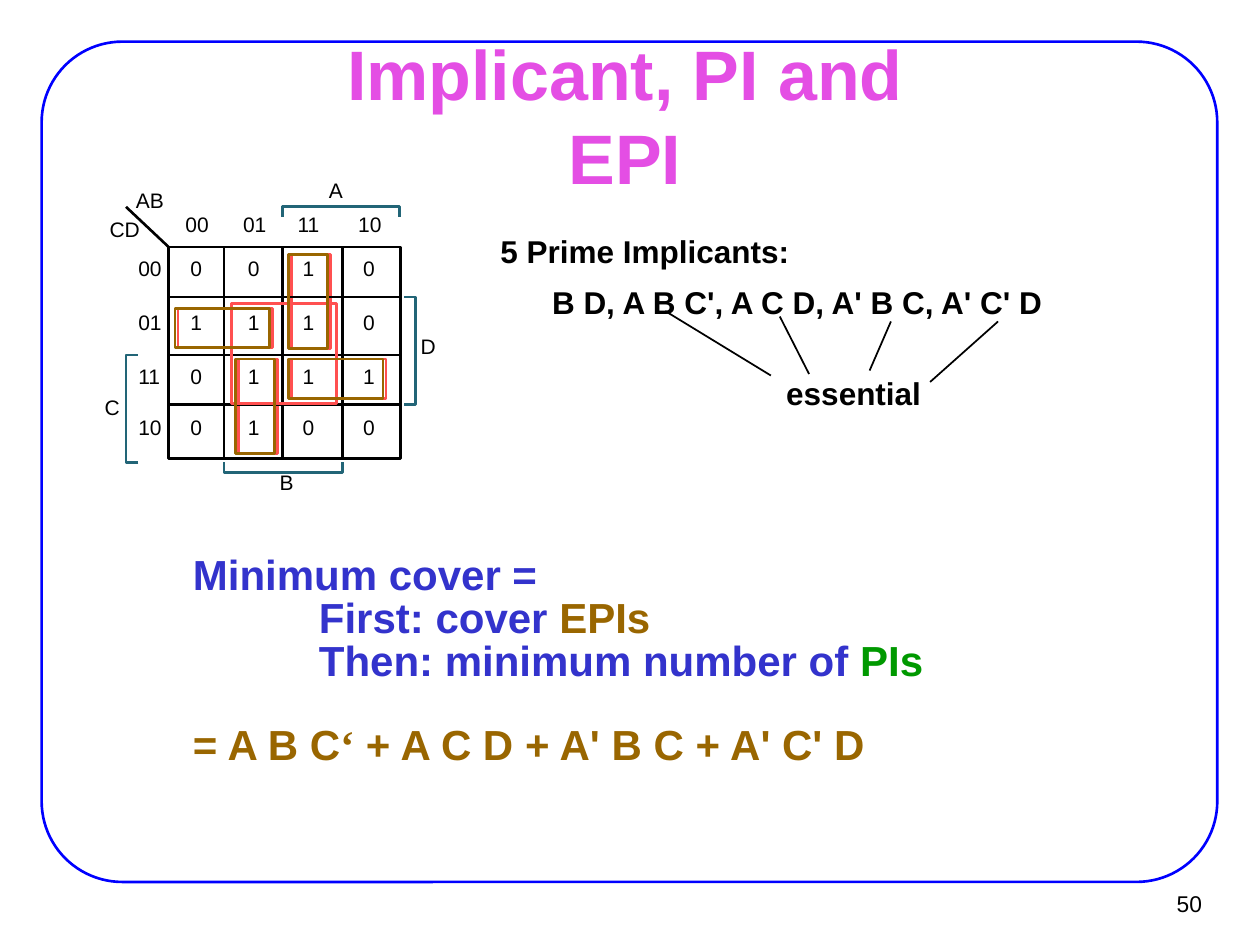
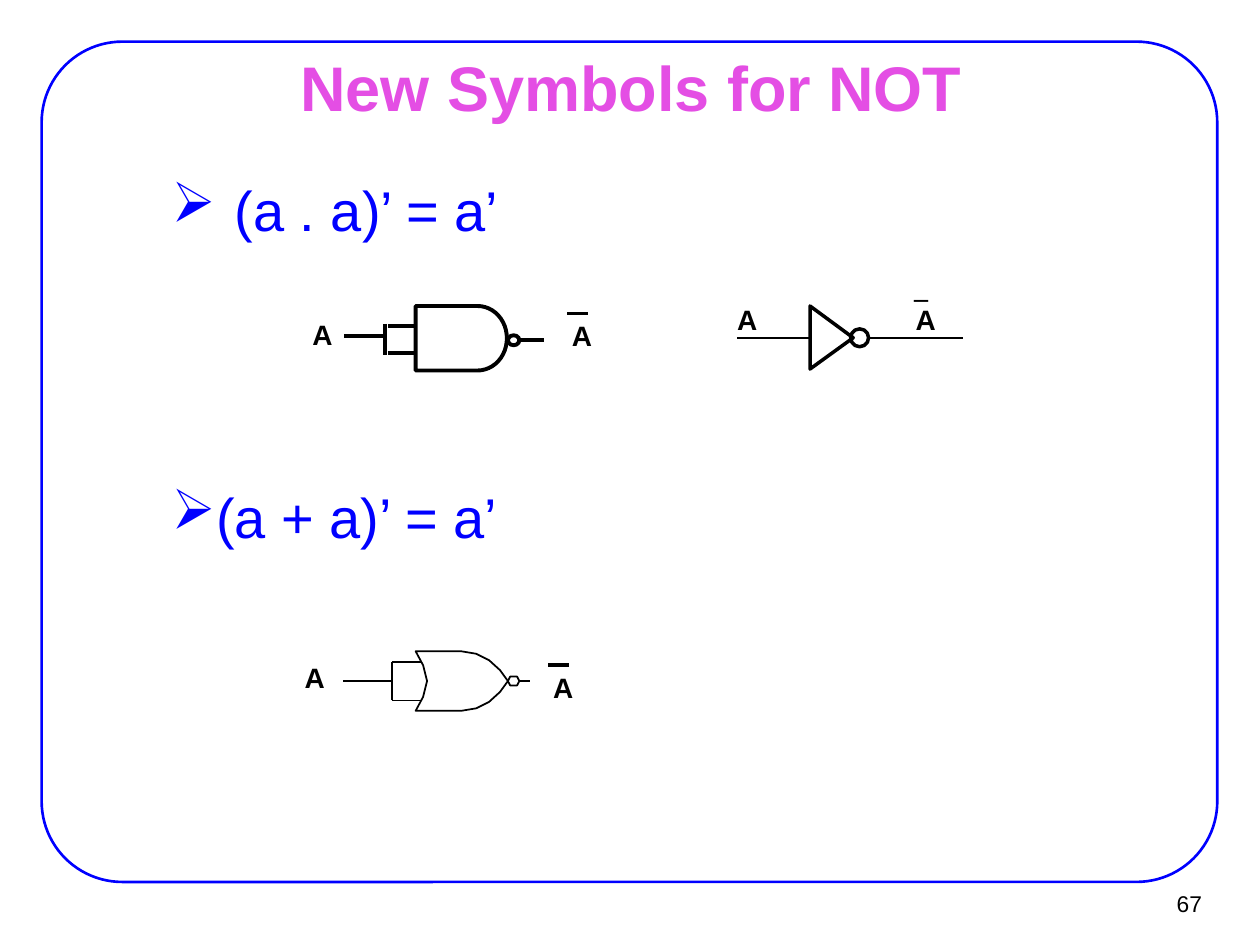
from math import cos, pi, sin

from lxml.etree import SubElement
from pptx import Presentation
from pptx.dml.color import RGBColor
from pptx.enum.shapes import MSO_CONNECTOR, MSO_SHAPE
from pptx.enum.text import MSO_ANCHOR, MSO_AUTO_SIZE, PP_ALIGN
from pptx.oxml.ns import qn
from pptx.util import Cm, Pt

COLORS = {
    "black": "000000", "frame": "0000FF", "title": "E44EE4", "statement": "0000FF",
    "cover": "3333CC", "essential": "996600", "prime": "009900",
    "implicant": "FF5050", "bracket": "226577",
}
FONT = "Arial"
QUOTE_FONT = "Times New Roman"
TIGHT = (0.18, 0.08)
ROOMY = (0.28, 0.15)
NONE = (0, 0)
GATE_INSET = (0.25, 0.13)
GRAY_CODE = ("00", "01", "11", "10")


def rgb(name):
    """Return a palette colour."""
    return RGBColor.from_string(COLORS[name])


def style_font(font, size, color, bold=False, face=FONT):
    """Set the look of a paragraph's or run's font."""
    font.name, font.size, font.bold = face, Pt(size), bold
    font.color.rgb = rgb(color)


def set_frame(frame, inset, anchor, wrap):
    """Set margins, anchor and wrapping of a text frame."""
    frame.margin_left = frame.margin_right = Cm(inset[0])
    frame.margin_top = frame.margin_bottom = Cm(inset[1])
    frame.vertical_anchor, frame.word_wrap = anchor, wrap
    frame.auto_size = MSO_AUTO_SIZE.NONE


def place_text(slide, text, box, size, color="black", bold=False, face=FONT,
               inset=TIGHT, wrap=False, align=PP_ALIGN.LEFT, anchor=MSO_ANCHOR.TOP):
    """Add a one-paragraph text box and return its paragraph."""
    frame = slide.shapes.add_textbox(*map(Cm, box)).text_frame
    set_frame(frame, inset, anchor, wrap)
    paragraph = frame.paragraphs[0]
    paragraph.text, paragraph.alignment = text, align
    style_font(paragraph.font, size, color, bold, face)
    return paragraph


def place_outline(shape, color, weight):
    """Give a shape an outline without fill or shadow."""
    shape.shadow.inherit = False
    shape.fill.background()
    shape.line.color.rgb = rgb(color)
    shape.line.width = Pt(weight)
    return shape


def place_shape(slide, kind, box, color="black", weight=1.5):
    """Add an unfilled preset shape."""
    return place_outline(slide.shapes.add_shape(kind, *map(Cm, box)), color, weight)


def place_path(slide, points, color="black", weight=1.5, close=True):
    """Add an unfilled outline through the points."""
    corners = [(Cm(x), Cm(y)) for x, y in points]
    builder = slide.shapes.build_freeform(*corners[0])
    builder.add_line_segments(corners[1:], close=close)
    return place_outline(builder.convert_to_shape(), color, weight)


def place_line(slide, x1, y1, x2, y2, weight=1.5):
    """Add a straight black line."""
    line = slide.shapes.add_connector(MSO_CONNECTOR.STRAIGHT, *map(Cm, (x1, y1, x2, y2)))
    line.line.color.rgb = rgb("black")
    line.line.width = Pt(weight)
    SubElement(line.element.spPr, qn("a:effectLst"))


def frame_layout(layout, slide):
    """Put the rounded border on the layout that all slides share."""
    border = place_shape(slide, MSO_SHAPE.ROUNDED_RECTANGLE,
                         (0.84, 0.84, 23.7, 16.94), "frame")
    border.adjustments[0] = 0.096
    layout.shapes.element.insert(2, border.element)


def start_slide(deck, title, box, size, number, inset, anchor, wrap):
    """Add a slide with its title and page number."""
    slide = deck.slides.add_slide(deck.slide_layouts[5])
    heading = slide.shapes.title
    heading.left, heading.top, heading.width, heading.height = map(Cm, box)
    set_frame(heading.text_frame, inset, anchor, wrap)
    paragraph = heading.text_frame.paragraphs[0]
    paragraph.text, paragraph.alignment = title, PP_ALIGN.CENTER
    style_font(paragraph.font, size, "title", bold=True)
    place_text(slide, number, (22.91, 17.75, 1.55, 0.94), 13, inset=(0.23, 0.1),
               wrap=True, align=PP_ALIGN.RIGHT, anchor=MSO_ANCHOR.MIDDLE)
    return slide


def map_label(slide, text, x, y):
    """Add a small label of the Karnaugh map."""
    place_text(slide, text, (x, y, 0.3 + 0.2 * len(text), 0.51), 12,
               inset=NONE, wrap=True)


def draw_karnaugh_map(slide):
    """Draw the map with its values, variable brackets and loops."""
    essentials = [(3.53, 6.22, 1.9, 0.79), (5.82, 7.24, 1.9, 0.79),
                  (4.75, 7.24, 0.79, 1.9), (5.82, 5.13, 0.79, 1.9)]
    for x, y, width, height in essentials:
        place_shape(slide, MSO_SHAPE.RECTANGLE, (x + 0.06, y, width, height), "implicant")

    left, top, right, bottom = 3.4, 4.98, 8.08, 9.25
    place_shape(slide, MSO_SHAPE.RECTANGLE, (left, top, right - left, bottom - top))
    for y in (5.99, 7.16, 8.15):
        place_line(slide, left, y, right, y)
    for x in (4.52, 5.69, 6.91):
        place_line(slide, x, top, x, bottom)
    place_line(slide, left, top, 2.54, 4.17)

    columns = (3.84, 5, 6.1, 7.32)
    rows = (5.16, 6.25, 7.32, 8.36)
    for code, x, y in zip(GRAY_CODE, columns, rows):
        map_label(slide, code, x - 0.1, 4.27)
        map_label(slide, code, 2.79, y)
    for y, values in zip(rows, ("0010", "1110", "0111", "0100")):
        for x, value in zip(columns, values):
            map_label(slide, value, x, y)

    brackets = [
        [(5.69, 4.37), (5.69, 4.17), (8.05, 4.17), (8.05, 4.37)],
        [(2.79, 9.32), (2.54, 9.32), (2.54, 7.16), (2.79, 7.16)],
        [(6.91, 9.32), (6.91, 9.53), (4.52, 9.53), (4.52, 9.32)],
        [(8.15, 5.99), (8.38, 5.99), (8.38, 8.15), (8.15, 8.15)],
    ]
    for bracket in brackets:
        place_path(slide, bracket, "bracket", close=False)
    for variable, x, y in (("AB", 2.74, 3.78), ("CD", 2.21, 4.37), ("A", 6.63, 3.58),
                           ("B", 5.64, 9.47), ("C", 2.11, 7.95), ("D", 8.48, 6.73)):
        map_label(slide, variable, x, y)

    place_shape(slide, MSO_SHAPE.RECTANGLE, (4.67, 6.12, 2.11, 2.01), "implicant")
    for loop in essentials:
        place_shape(slide, MSO_SHAPE.RECTANGLE, loop, "essential")


def list_prime_implicants(slide):
    """Name the prime implicants and point to the essential ones."""
    for text, box in (
            ("5 Prime Implicants:", (9.91, 4.72, 6.17, 0.79)),
            ("B D, A B C', A C D, A' B C, A' C' D", (10.95, 5.74, 10.36, 0.79)),
            ("essential", (15.67, 7.57, 3.07, 0.79))):
        place_text(slide, text, box, 18, bold=True).line_spacing = 0.85
    for pointer in ((13.41, 6.27, 15.54, 7.57), (15.72, 6.38, 16.31, 7.54),
                    (17.96, 6.48, 17.53, 7.47), (20.12, 6.48, 18.75, 7.7)):
        place_line(slide, *pointer, weight=1)


def explain_minimum_cover(slide):
    """Write the steps to the minimum cover and its result."""
    frame = slide.shapes.add_textbox(*map(Cm, (3.71, 11.13, 19.58, 4.47))).text_frame
    set_frame(frame, TIGHT, MSO_ANCHOR.TOP, True)
    steps = [
        (0, 0, [("Minimum cover =", "cover", FONT)]),
        (2.54, 0, [("First: cover ", "cover", FONT), ("EPIs", "essential", FONT)]),
        (2.54, 0, [("Then: minimum number of ", "cover", FONT), ("PIs", "prime", FONT)]),
        (0, 24, [("= A B C", "essential", FONT), ("‘", "essential", QUOTE_FONT),
                 (" + A C D + A' B C + A' C' D", "essential", FONT)]),
    ]
    for index, (indent, gap, parts) in enumerate(steps):
        paragraph = frame.add_paragraph() if index else frame.paragraphs[0]
        paragraph.line_spacing, paragraph.space_before = 0.85, Pt(gap)
        paragraph._p.get_or_add_pPr().set("marL", str(Cm(indent)))
        for text, color, face in parts:
            run = paragraph.add_run()
            run.text = text
            style_font(run.font, 24, color, True, face)


def state_identity(slide, text, top, indent, hanging):
    """Add a bulleted Boolean identity."""
    paragraph = place_text(slide, text, (1.91, top, 21.59, 2.54), 32, "statement",
                           inset=ROOMY, wrap=True)
    properties = paragraph._p.get_or_add_pPr()
    properties.set("marL", str(Cm(indent)))
    properties.set("indent", str(-Cm(hanging)))
    bullet = SubElement(properties, qn("a:buChar"))
    bullet.set("char", "➢")
    spacing = properties.get_or_add_spcBef()
    SubElement(spacing, qn("a:spcPct")).set("val", "20000")


def signal(slide, x, y, name="A", face=FONT):
    """Label a wire with its signal."""
    place_text(slide, name, (x, y, 0.91, 0.94), 16, bold=True, face=face,
               inset=GATE_INSET)


def inverted_signal(slide, x, y):
    """Label a wire with a signal under a bar."""
    signal(slide, x, y)
    place_line(slide, x + 0.15, y + 0.02, x + 0.58, y + 0.02, 2.25)


def draw_nand(slide):
    """Draw a NAND gate with joined inputs."""
    back, shoulder, middle = 8.38, 9.63, 6.82
    steps = 24
    angles = [pi * step / steps - pi / 2 for step in range(steps + 1)]
    nose = [(shoulder + 0.59 * cos(a), middle + 0.65 * sin(a)) for a in angles]
    place_path(slide, [(back, 6.17), *nose, (back, 7.47)], weight=2.25)
    place_shape(slide, MSO_SHAPE.OVAL, (10.24, 6.76, 0.23, 0.2), weight=2.25)
    for wire in ((10.49, 6.86, 10.97, 6.86), (7.82, 6.58, back, 6.58),
                 (7.82, 7.11, back, 7.11), (7.77, 6.53, 7.77, 7.16),
                 (7.77, 6.78, 6.93, 6.78)):
        place_line(slide, *wire, weight=2.25)
    signal(slide, 6.05, 6.27)
    inverted_signal(slide, 11.28, 6.3)


def draw_not(slide):
    """Draw the usual inverter."""
    axis = 6.81
    place_line(slide, 17.5, axis, 19.41, axis, 1)
    place_line(slide, 16.33, axis, 14.86, axis, 1)
    place_path(slide, [(16.33, 6.17), (17.2, axis), (16.33, 7.44)], weight=2)
    place_shape(slide, MSO_SHAPE.OVAL, (17.15, 6.63, 0.36, 0.36), weight=2)
    signal(slide, 14.61, 5.97)
    signal(slide, 18.21, 5.97)
    signal(slide, 18.18, 5.33, "_", QUOTE_FONT)


def draw_nor(slide):
    """Draw a NOR gate with joined inputs, mirrored about its axis."""
    axis, join = 13.73, 7.9
    upper = [(8.61, axis), (8.53, 13.41), (8.38, 13.13), (9.3, 13.13), (9.6, 13.18),
             (9.86, 13.31), (10.08, 13.51), (10.24, axis)]
    lower = [(x, 2 * axis - y) for x, y in reversed(upper[1:-1])]
    place_path(slide, upper + lower, weight=1)
    place_shape(slide, MSO_SHAPE.HEXAGON, (10.24, 13.64, 0.23, 0.18), weight=1)
    for y in (axis - 0.39, axis + 0.39):
        place_line(slide, join, y, 8.48, y, 1)
    place_line(slide, 10.46, axis, 10.69, axis, 1)
    place_line(slide, join, axis - 0.39, join, axis + 0.39, 0.75)
    place_line(slide, join, axis, 6.91, axis, 0.75)
    signal(slide, 5.89, 13.18)
    inverted_signal(slide, 10.9, 13.39)


def main():
    """Build and save the two slides."""
    deck = Presentation()
    deck.slide_width, deck.slide_height = Cm(25.4), Cm(19.05)

    implicants = start_slide(deck, "Implicant, PI and EPI", (5.49, 0.53, 14.22, 1.83),
                             40, "50", TIGHT, MSO_ANCHOR.TOP, False)
    frame_layout(deck.slide_layouts[5], implicants)
    list_prime_implicants(implicants)
    draw_karnaugh_map(implicants)
    explain_minimum_cover(implicants)

    inverters = start_slide(deck, "New Symbols for NOT", (1.93, 1.12, 21.59, 1.24),
                            36, "67", ROOMY, MSO_ANCHOR.MIDDLE, True)
    state_identity(inverters, "(a . a)’ = a’", 3.38, 2.54, 1.27)
    draw_nand(inverters)
    draw_not(inverters)
    state_identity(inverters, "(a + a)’ = a’", 9.58, 2.06, 0.79)
    draw_nor(inverters)

    deck.save("out.pptx")


main()
